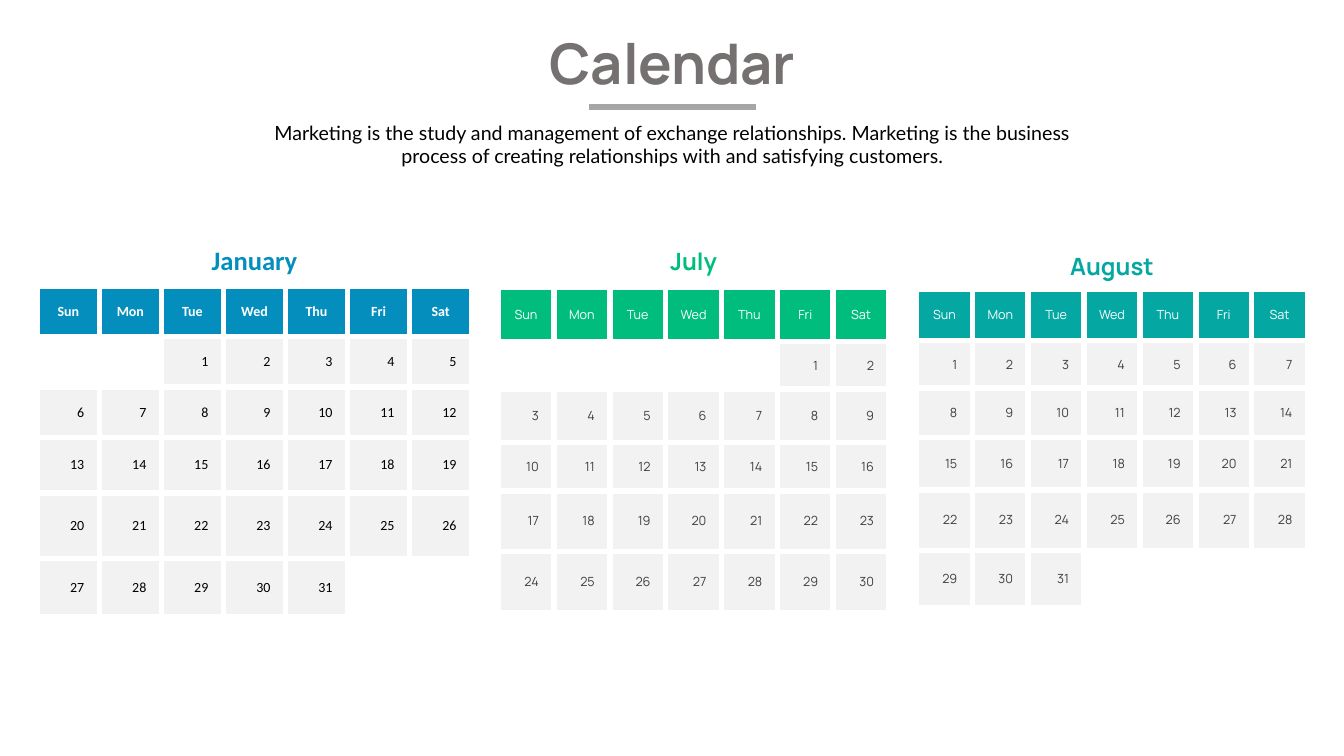
from dataclasses import dataclass

from lxml import etree
from pptx import Presentation
from pptx import util as u
from pptx.dml.color import RGBColor
from pptx.enum import shapes, text
from pptx.oxml import ns

WHITE = RGBColor(0xFF, 0xFF, 0xFF)
BLACK = RGBColor(0x00, 0x00, 0x00)
TITLE_GRAY = RGBColor(0x76, 0x71, 0x71)
RULE_GRAY = RGBColor(0xA6, 0xA6, 0xA6)
DAY_GRAY = RGBColor(0x40, 0x40, 0x40)
DAY_FILL = RGBColor(0xF2, 0xF2, 0xF2)
BLUE = RGBColor(0x04, 0x8E, 0xBD)
GREEN = RGBColor(0x00, 0xBD, 0x7D)
TEAL = RGBColor(0x04, 0xA7, 0xA2)

WEEKDAYS = ["Sun", "Mon", "Tue", "Wed", "Thu", "Fri", "Sat"]
CENTER = text.PP_ALIGN.CENTER
RIGHT = text.PP_ALIGN.RIGHT


@dataclass
class Month:
    name: str
    first_weekday: int
    days: int
    left: float
    top: float
    width: float
    row_heights: list
    color: RGBColor
    day_color: RGBColor
    font: str
    name_size: int
    day_size: int
    name_margins: tuple
    weekday_margins: tuple
    bold_weekdays: bool = False


class CalendarPage:
    day_margins = (0.15, 0.15)
    border_width = u.Pt(4.5)

    def __init__(self, deck):
        self.page = deck.slides.add_slide(deck.slide_layouts[6])

    def set_text(self, frame, words, font, size, color, bold=False, align=CENTER):
        frame.text = words
        para = frame.paragraphs[0]
        para.alignment = align
        for span in para.runs:
            span.font.name = font
            span.font.size = u.Pt(size)
            span.font.bold = bold
            span.font.color.rgb = color

    def text_box(self, left, top, width, height, words, font, size, color,
                 bold=False, wrap=True, margin=0.05):
        box = self.page.shapes.add_textbox(
            u.Inches(left), u.Inches(top), u.Inches(width), u.Inches(height))
        frame = box.text_frame
        frame.word_wrap = wrap
        frame.auto_size = text.MSO_AUTO_SIZE.SHAPE_TO_FIT_TEXT
        frame.margin_top = frame.margin_bottom = u.Inches(margin)
        self.set_text(frame, words, font, size, color, bold)

    def rule(self, left, right, y, color, width):
        line = self.page.shapes.add_connector(
            shapes.MSO_CONNECTOR.STRAIGHT,
            u.Inches(left), u.Inches(y), u.Inches(right), u.Inches(y))
        line.line.color.rgb = color
        line.line.width = u.Pt(width)
        etree.SubElement(line._element.spPr, ns.qn("a:effectLst"))

    def border(self, cell):
        properties = cell._tc.get_or_add_tcPr()
        for side in ("a:lnL", "a:lnR", "a:lnT", "a:lnB"):
            edge = etree.SubElement(properties, ns.qn(side), w=str(self.border_width))
            fill = etree.SubElement(edge, ns.qn("a:solidFill"))
            etree.SubElement(fill, ns.qn("a:srgbClr"), val=str(WHITE))

    def fill(self, cell, color):
        cell.fill.solid()
        cell.fill.fore_color.rgb = color

    def cell_text(self, cell, margins, *style):
        cell.vertical_anchor = text.MSO_ANCHOR.MIDDLE
        cell.margin_left = cell.margin_right = u.Inches(margins[0])
        cell.margin_top = cell.margin_bottom = u.Inches(margins[1])
        self.set_text(cell.text_frame, *style)

    def calendar(self, month):
        columns = len(WEEKDAYS)
        table = self.page.shapes.add_table(
            len(month.row_heights), columns, u.Inches(month.left), u.Inches(month.top),
            u.Inches(month.width), u.Inches(sum(month.row_heights))).table
        table.first_row = table.horz_banding = False
        for column in table.columns:
            column.width = u.Inches(month.width / columns)
        for row, height in zip(table.rows, month.row_heights):
            row.height = u.Inches(height)
        for cell in table.iter_cells():
            self.border(cell)
            cell.fill.background()

        heading = table.cell(0, 0)
        heading.merge(table.cell(0, columns - 1))
        self.cell_text(heading, month.name_margins, month.name, month.font,
                       month.name_size, month.color, True)
        for index, weekday in enumerate(WEEKDAYS):
            cell = table.cell(1, index)
            self.fill(cell, month.color)
            self.cell_text(cell, month.weekday_margins, weekday, month.font,
                           month.day_size, WHITE, month.bold_weekdays)
        for day in range(1, month.days + 1):
            week, weekday = divmod(day - 1 + month.first_weekday, columns)
            cell = table.cell(week + 2, weekday)
            self.fill(cell, DAY_FILL)
            self.cell_text(cell, self.day_margins, str(day), month.font,
                           month.day_size, month.day_color, False, RIGHT)


def main():
    deck = Presentation()
    deck.slide_width = u.Inches(13.33)
    deck.slide_height = u.Inches(7.5)
    page = CalendarPage(deck)
    page.text_box(5.22, 0.28, 2.9, 0.77, "Calendar", "Manrope", 40, TITLE_GRAY,
                  bold=True, wrap=False, margin=0)
    page.text_box(2.37, 1.15, 8.6, 0.57,
                  "Marketing is the study and management of exchange relationships. "
                  "Marketing is the business process of creating relationships with "
                  "and satisfying customers.", "Lato", 14, BLACK)
    page.rule(5.84, 7.5, 1.06, RULE_GRAY, 4.25)

    compact = dict(width=3.88, day_color=DAY_GRAY, font="Manrope", name_size=17,
                   day_size=9, name_margins=(0.09, 0.04), weekday_margins=(0.05, 0.02))
    months = [
        Month("January", 2, 31, left=0.37, top=2.34, width=4.31,
              row_heights=[0.5, 0.5, 0.5, 0.5, 0.55, 0.65, 0.58],
              color=BLUE, day_color=BLACK, font="Calibri", name_size=19, day_size=10,
              name_margins=(0.11, 0.06), weekday_margins=(0.05, 0.03),
              bold_weekdays=True),
        Month("July", 5, 30, left=4.94, top=2.34, color=GREEN,
              row_heights=[0.51, 0.54, 0.47, 0.53, 0.48, 0.6, 0.61], **compact),
        Month("August", 0, 31, left=9.09, top=2.42, color=TEAL,
              row_heights=[0.45, 0.51, 0.47, 0.49, 0.52, 0.6, 0.57], **compact),
    ]
    for month in months:
        page.calendar(month)
    deck.save("out.pptx")


if __name__ == "__main__":
    main()
